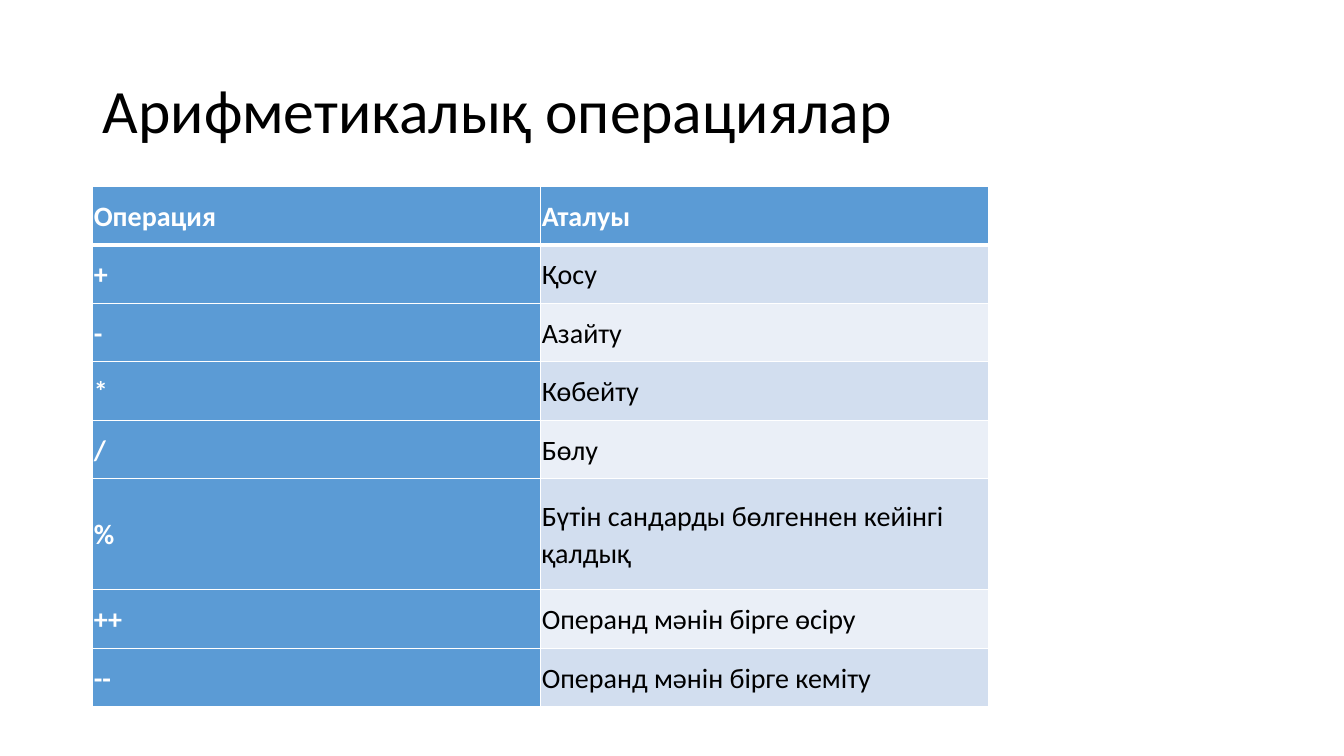
from lxml.etree import SubElement
from pptx import Presentation
from pptx.dml.color import RGBColor as Color
from pptx.enum.text import MSO_ANCHOR as Anchor, PP_ALIGN as Align
from pptx.oxml.ns import qn
from pptx.util import Inches, Pt

WHITE = RGB_WHITE = Color(0xFF, 0xFF, 0xFF)
BLACK = Color(0, 0, 0)
BLUE = Color(0x5B, 0x9B, 0xD5)
DARK = Color(0xD2, 0xDE, 0xEF)
LIGHT = Color(0xEA, 0xEF, 0xF7)
FONT = "Calibri"
WIDE, HIGH = 13.33, 7.5
LEFT, SPLIT = 0.92, 1.85
COL, ROW, TALL = WIDE / 3, 0.58, 1.1
ROWS = [
    ("Операция", "Аталуы"),
    ("+", "Қосу"),
    ("-", "Азайту"),
    ("*", "Көбейту"),
    ("/", "Бөлу"),
    ("%", "Бүтін сандарды бөлгеннен кейінгі қалдық"),
    ("++", "Операнд мәнін бірге өсіру"),
    ("--", "Операнд мәнін бірге кеміту"),
]
LONG = 5


def style(frame, size, color, bold, space):
    para = frame.paragraphs[0]
    para.alignment = Align.LEFT
    para.line_spacing = space
    font = para.font
    font.name, font.size, font.bold = FONT, Pt(size), bold
    font.color.rgb = color


def add_title(slide, text):
    title = slide.shapes.title
    title.left, title.top = Inches(LEFT), Inches(0.4)
    title.width, title.height = Inches(WIDE - 2 * LEFT), Inches(SPLIT - 0.4)
    frame = title.text_frame
    frame.text = text
    frame.vertical_anchor = Anchor.MIDDLE
    style(frame, 44, BLACK, False, 0.9)


def add_edges(cell, sizes):
    props = cell._tc.get_or_add_tcPr()
    for spot, (side, size) in enumerate(sizes.items()):
        line = SubElement(props, qn(f"a:ln{side}"), w=str(Pt(size)))
        fill = SubElement(line, qn("a:solidFill"))
        SubElement(fill, qn("a:srgbClr"), val=str(WHITE))
        props.insert(spot, line)


def fill_cell(cell, text, row, col):
    head = row == 0 or col == 0
    cell.text = text
    cell.vertical_anchor = Anchor.MIDDLE
    cell.margin_left = cell.margin_right = Inches(0.01)
    cell.margin_top = cell.margin_bottom = Inches(0.01)
    style(cell.text_frame, 20, WHITE if head else BLACK, head, 1.07)
    cell.fill.solid()
    cell.fill.fore_color.rgb = BLUE if head else DARK if row % 2 else LIGHT
    add_edges(cell, {"L": 1, "R": 1, "T": 3 if row == 1 else 1,
                     "B": 3 if row == 0 else 1})


def add_grid(slide, rows):
    tall = ROW * (len(rows) - 1) + TALL
    frame = slide.shapes.add_table(
        len(rows), 2, Inches(LEFT), Inches(SPLIT), Inches(2 * COL), Inches(tall))
    table = frame.table
    for col in table.columns:
        col.width = Inches(COL)
    for row, texts in enumerate(rows):
        table.rows[row].height = Inches(TALL if row == LONG else ROW)
        for col, text in enumerate(texts):
            fill_cell(table.cell(row, col), text, row, col)


def main():
    deck = Presentation()
    deck.slide_width, deck.slide_height = Inches(WIDE), Inches(HIGH)
    slide = deck.slides.add_slide(deck.slide_layouts[5])
    add_title(slide, "Арифметикалық операциялар")
    add_grid(slide, ROWS)
    deck.save("out.pptx")


main()
